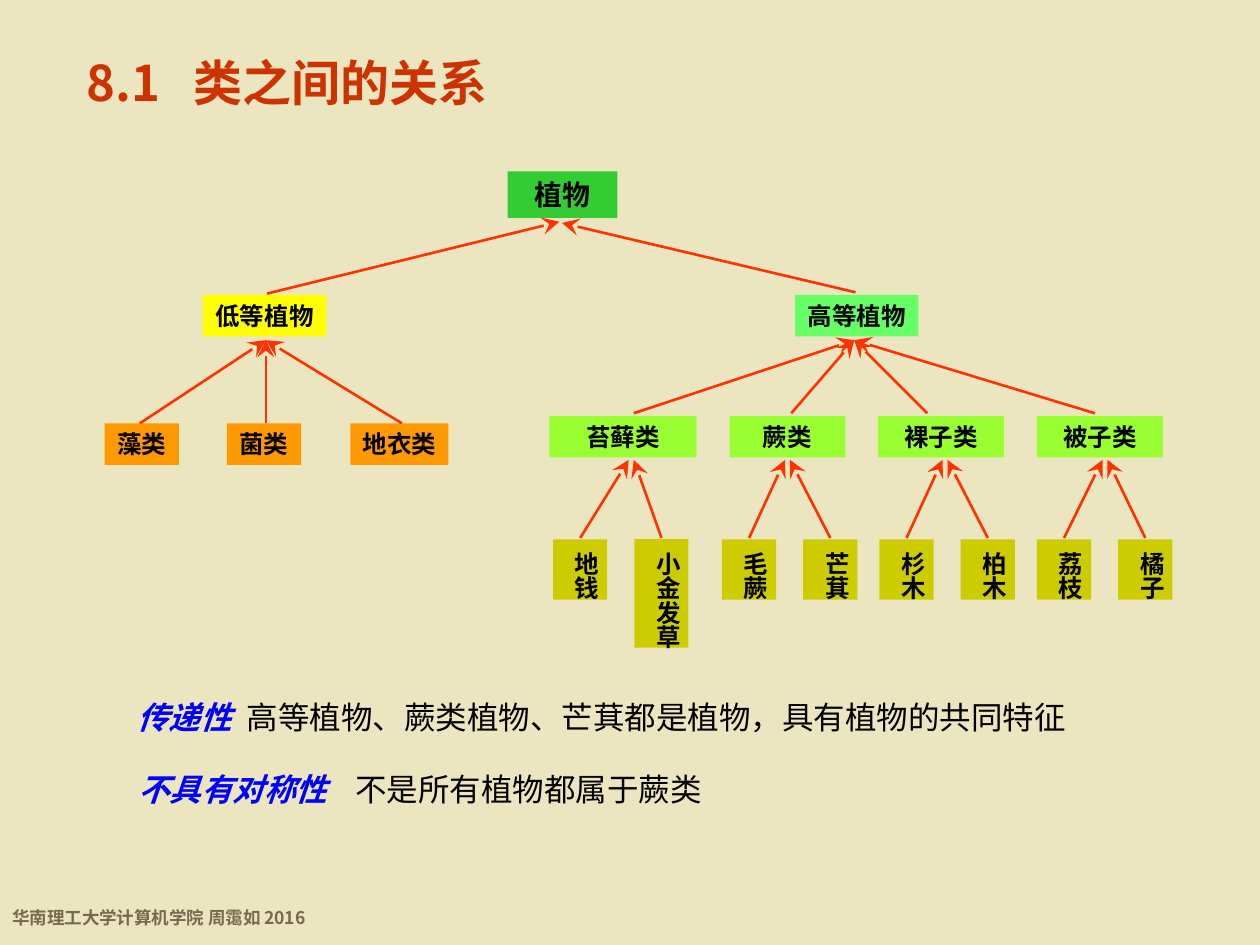
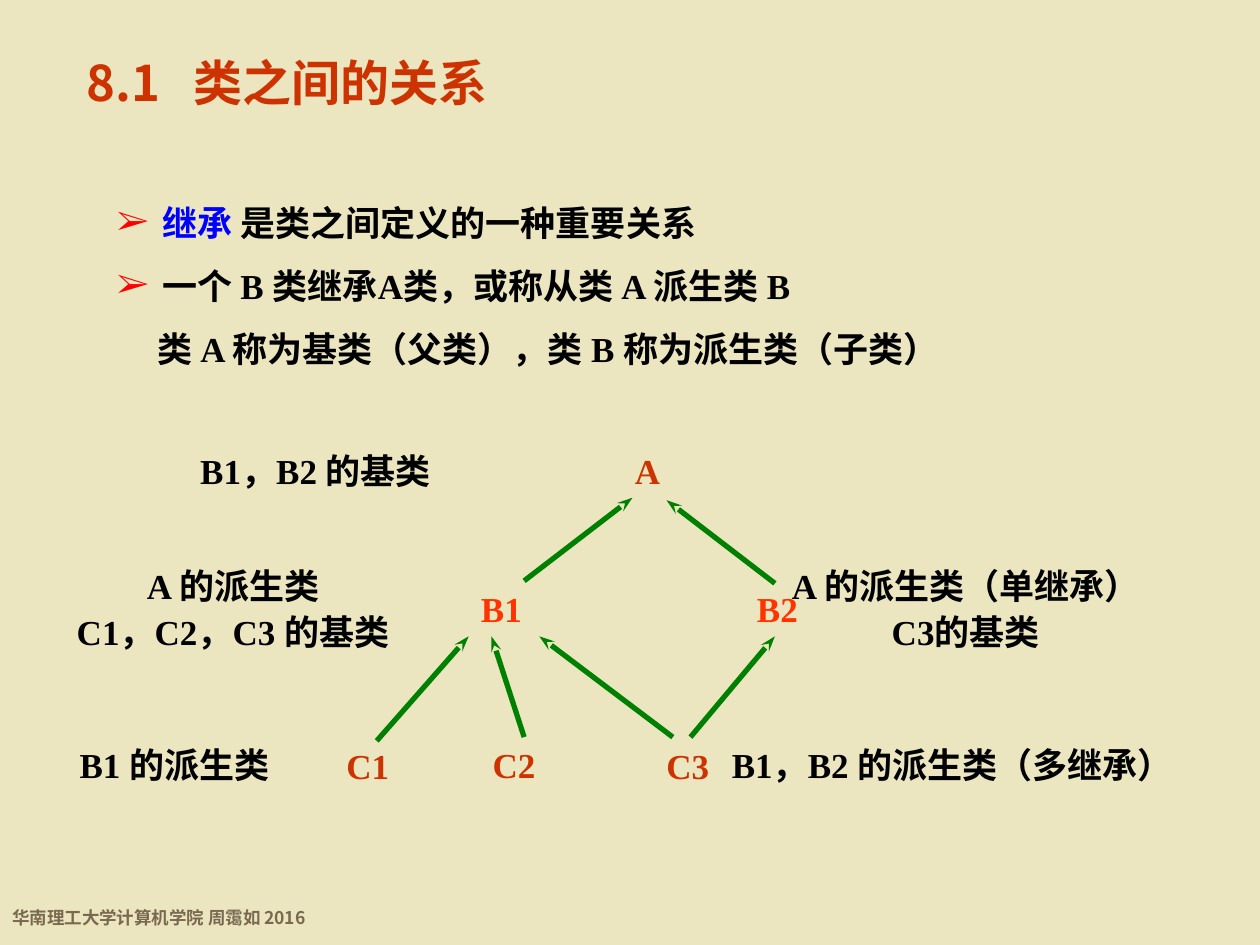
from dataclasses import dataclass
from lxml.etree import SubElement
from pptx import Presentation
from pptx.dml.color import RGBColor
from pptx.enum.shapes import MSO_CONNECTOR as Connector, MSO_SHAPE as Preset
from pptx.enum.text import MSO_ANCHOR as Anchor, MSO_AUTO_SIZE as AutoSize, PP_ALIGN as Align
from pptx.oxml.ns import qn
from pptx.util import Inches, Pt


@dataclass(frozen=True)
class Theme:
    background: str = "ECE6C0"
    title: str = "CC3300"
    footer: str = "786950"
    text: str = "000000"
    keyword: str = "0000FF"
    bullet: str = "FF0000"
    accent: str = "FF3300"
    inherit: str = "008000"
    plant: str = "33CC33"
    lower: str = "FFFF00"
    higher: str = "66FF66"
    lower_kind: str = "FF9900"
    higher_kind: str = "99FF33"
    species: str = "CCCC00"
    sans: str = "Noto Sans CJK SC"
    serif: str = "Times New Roman"
    title_size: int = 28
    body_size: int = 20
    note_size: int = 18
    root_size: int = 16
    node_size: int = 14
    footer_size: int = 10


theme = Theme()


def add_text(slide, box, paragraphs, size, font=theme.serif, fill=None, align=Align.CENTER,
             wrap=False, spacing=None, tab=None):
    position = [Inches(length) for length in box]
    if fill:
        shape = slide.shapes.add_shape(Preset.RECTANGLE, *position)
        shape.shadow.inherit = False
        shape.fill.solid()
        shape.fill.fore_color.rgb = RGBColor.from_string(fill)
        shape.line.fill.background()
    else:
        shape = slide.shapes.add_textbox(*position)
    text_frame = shape.text_frame
    text_frame.word_wrap = wrap
    text_frame.vertical_anchor = Anchor.TOP
    for index, pieces in enumerate(paragraphs):
        paragraph = text_frame.add_paragraph() if index else text_frame.paragraphs[0]
        paragraph.alignment = align
        if spacing:
            paragraph.line_spacing = spacing
        if tab:
            tabs = SubElement(paragraph._p.get_or_add_pPr(), qn("a:tabLst"))
            SubElement(tabs, qn("a:tab"), pos=str(Inches(tab)), algn="l")
        for text, color in pieces:
            run = paragraph.add_run()
            run.text = text
            run.font.size = Pt(size)
            run.font.bold = True
            run.font.name = font
            run.font.color.rgb = RGBColor.from_string(color)
            SubElement(run._r.get_or_add_rPr(), qn("a:ea"), typeface=theme.sans)
    return shape


def add_arrow(slide, tip, end, color, width, head_width, head_length):
    points = [Inches(length) for length in (*tip, *end)]
    connector = slide.shapes.add_connector(Connector.STRAIGHT, *points)
    connector.line.color.rgb = RGBColor.from_string(color)
    connector.line.width = Pt(width)
    properties = connector._element.spPr
    SubElement(properties.find(qn("a:ln")), qn("a:headEnd"),
               type="stealth", w=head_width, len=head_length)
    SubElement(properties, qn("a:effectLst"))


presentation = Presentation()
presentation.slide_width = Inches(10)
presentation.slide_height = Inches(7.5)

slides = []
for number in range(2):
    slide = presentation.slides.add_slide(presentation.slide_layouts[6])
    slide.background.fill.solid()
    slide.background.fill.fore_color.rgb = RGBColor.from_string(theme.background)
    add_text(slide, (0, 7.08, 2.66, 0.34), [[("华南理工大学计算机学院 周霭如 2016", theme.footer)]],
             theme.footer_size, theme.sans, align=Align.LEFT, spacing=1.4)
    add_text(slide, (0.59, 0.37, 6.08, 0.67), [[("8.1\t类之间的关系", theme.title)]],
             theme.title_size, theme.sans, align=Align.LEFT, wrap=True, tab=0.85)
    slides.append(slide)
plant_slide, class_slide = slides

properties = [
    (0.99, 5.49, 7.7, 0.87, "传递性", "高等植物、蕨类植物、芒萁都是植物，具有植物的共同特征"),
    (1, 6.06, 4.95, 1.72, "不具有对称性", "不是所有植物都属于蕨类"),
]
for left, top, width, tab, keyword, explanation in properties:
    shape = add_text(plant_slide, (left, top, width, 0.4),
                     [[(keyword, theme.keyword), ("\t" + explanation, theme.text)]],
                     theme.note_size, theme.sans, align=Align.LEFT, tab=tab)
    keyword_run, explanation_run = shape.text_frame.paragraphs[0].runs
    keyword_run.font.italic = True
    explanation_run.font.bold = False

add_text(plant_slide, (4.03, 1.36, 0.87, 0.37), [[("植物", theme.text)]],
         theme.root_size, fill=theme.plant)

nodes = [
    ("低等植物", 1.61, 2.34, 0.98, theme.lower),
    ("高等植物", 6.31, 2.34, 0.98, theme.higher),
    ("藻类", 0.83, 3.36, 0.59, theme.lower_kind),
    ("菌类", 1.8, 3.36, 0.59, theme.lower_kind),
    ("地衣类", 2.78, 3.36, 0.78, theme.lower_kind),
    ("苔藓类", 4.36, 3.3, 1.17, theme.higher_kind),
    ("蕨类", 5.79, 3.3, 0.92, theme.higher_kind),
    ("裸子类", 6.97, 3.3, 1, theme.higher_kind),
    ("被子类", 8.23, 3.3, 1, theme.higher_kind),
]
for name, left, top, width, fill in nodes:
    add_text(plant_slide, (left, top, width, 0.33), [[(name, theme.text)]],
             theme.node_size, fill=fill)

plant_arrows = [((4.44, 1.76), (2.12, 2.33)), ((4.46, 1.77), (6.79, 2.32))]
plant_arrows += [((2.11, 2.7), (end, 3.36)) for end in (1.11, 2.11, 3.19)]
plant_arrows += [((6.78, 2.7), (end, 3.28)) for end in (5.03, 6.28, 7.36, 8.69)]

leaf_width = 0.43
leaf_step = 0.645
families = [
    (5.01, 4.39, ("地钱", "小金发草")),
    (6.25, 5.73, ("毛蕨", "芒萁")),
    (7.5, 6.98, ("杉木", "柏木")),
    (8.77, 8.23, ("荔枝", "橘子")),
]
for center, first_left, names in families:
    for index, name in enumerate(names):
        left = first_left + index * leaf_step
        height = 0.48 if len(name) == 2 else 0.86
        shape = add_text(plant_slide, (left, 4.28, leaf_width, height), [[(name, theme.text)]],
                         theme.node_size, fill=theme.species)
        shape.text_frame.auto_size = AutoSize.SHAPE_TO_FIT_TEXT
        shape.text_frame._txBody.bodyPr.set("vert", "eaVert")
        tip = center + (0.02 if index else -0.02)
        plant_arrows.append(((tip, 3.65), (left + leaf_width / 2, 4.27)))

for tip, end in plant_arrows:
    add_arrow(plant_slide, tip, end, theme.accent, 1.5, "lg", "lg")

statements = [
    [("继承", theme.keyword), (" 是类之间定义的一种重要关系", theme.text)],
    [("一个 B 类继承A类，或称从类 A 派生类 B", theme.text)],
    [("类 A 称为基类（父类），类 B 称为派生类（子类）", theme.text)],
]
shape = add_text(class_slide, (0.83, 1.38, 7.81, 1.6), statements, theme.body_size,
                 align=Align.LEFT, wrap=True, spacing=1.5)
shape.text_frame.vertical_anchor = Anchor.MIDDLE
*bulleted, continuation = shape.text_frame.paragraphs
for paragraph in bulleted:
    paragraph_properties = paragraph._p.get_or_add_pPr()
    paragraph_properties.set("marL", str(Inches(0.36)))
    paragraph_properties.set("indent", str(-Inches(0.36)))
    bullet_color = SubElement(paragraph_properties, qn("a:buClr"))
    SubElement(bullet_color, qn("a:srgbClr"), val=theme.bullet)
    SubElement(paragraph_properties, qn("a:buFont"), typeface=theme.serif)
    SubElement(paragraph_properties, qn("a:buChar"), char="➢")
continuation._p.get_or_add_pPr().set("marL", str(Inches(0.32)))

label_width = 0.7
classes = [
    ("A", 5.14, 3.52, theme.title),
    ("B1", 3.98, 4.61, theme.accent),
    ("B2", 6.17, 4.61, theme.accent),
    ("C1", 2.92, 5.86, theme.title),
    ("C2", 4.08, 5.85, theme.title),
    ("C3", 5.46, 5.86, theme.title),
]
for name, center, top, color in classes:
    add_text(class_slide, (center - label_width / 2, top, label_width, 0.43),
             [[(name, color)]], theme.body_size)

captions = [
    (1.49, 3.52, 2.03, 0.43, None, ["B1，B2 的基类"]),
    (0.51, 4.4, 2.68, 0.83, 1.1, ["A 的派生类", "C1，C2，C3 的基类"]),
    (6.18, 4.4, 2.97, 0.83, 1.1, ["A 的派生类（单继承）", "C3的基类"]),
    (5.71, 5.85, 3.7, 0.43, None, ["B1，B2 的派生类（多继承）"]),
    (0.53, 5.85, 1.71, 0.43, None, ["B1 的派生类"]),
]
for left, top, width, height, spacing, lines in captions:
    add_text(class_slide, (left, top, width, height), [[(line, theme.text)] for line in lines],
             theme.body_size, wrap=True, spacing=spacing)

class_arrows = [
    ((5.02, 3.95), (4.16, 4.61)),
    ((5.29, 3.97), (6.15, 4.63)),
    ((3.72, 5.05), (2.99, 5.88)),
    ((3.9, 5.05), (4.16, 5.85)),
    ((4.28, 5.05), (5.34, 5.85)),
    ((6.15, 5.05), (5.48, 5.85)),
]
for tip, end in class_arrows:
    add_arrow(class_slide, tip, end, theme.inherit, 3, "sm", "med")

presentation.save("out.pptx")
